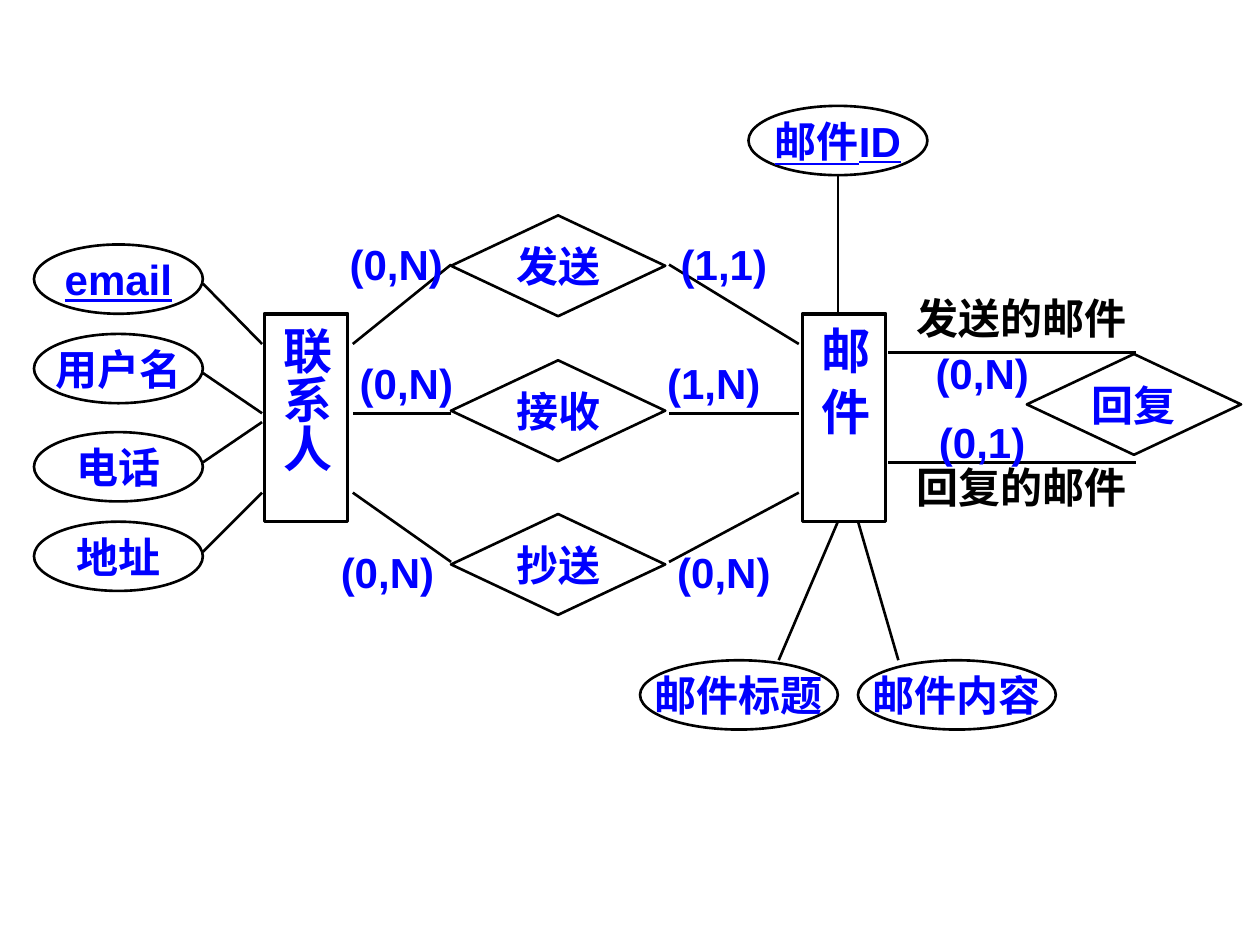
from lxml import etree
from pptx import Presentation
from pptx.dml.color import RGBColor
from pptx.enum.shapes import MSO_CONNECTOR, MSO_SHAPE
from pptx.enum.text import MSO_ANCHOR, MSO_AUTO_SIZE, PP_ALIGN
from pptx.oxml.ns import qn
from pptx.util import Inches, Pt

RECT, OVAL, DIAMOND = MSO_SHAPE.RECTANGLE, MSO_SHAPE.OVAL, MSO_SHAPE.DIAMOND
STRAIGHT = MSO_CONNECTOR.STRAIGHT
MIDDLE, CENTER = MSO_ANCHOR.MIDDLE, PP_ALIGN.CENTER
GROW = MSO_AUTO_SIZE.SHAPE_TO_FIT_TEXT
BLUE = RGBColor(0x00, 0x00, 0xFF)
BLACK = RGBColor(0x00, 0x00, 0x00)
CJK, LATIN = "Noto Sans CJK SC", "Arial"

prs = Presentation()
prs.slide_width, prs.slide_height = Inches(10), Inches(7.5)
shapes = prs.slides.add_slide(prs.slide_layouts[6]).shapes


def write(sp, text, size=24, font=CJK, color=BLUE, underline=None,
          wrap=False, margins=(0.1, 0.05), before=0):
    tf = sp.text_frame
    mx, my = Inches(margins[0]), Inches(margins[1])
    frame = {"word_wrap": wrap, "vertical_anchor": MIDDLE, "margin_left": mx,
             "margin_right": mx, "margin_top": my, "margin_bottom": my}
    for name, value in frame.items():
        setattr(tf, name, value)
    p = tf.paragraphs[0]
    p.alignment, p.space_before = CENTER, Pt(before)
    r = p.add_run()
    r.text = text
    style = {"name": font, "size": Pt(size), "bold": True, "underline": underline}
    for name, value in style.items():
        setattr(r.font, name, value)
    r.font.color.rgb = color
    ea = etree.SubElement(r._r.get_or_add_rPr(), qn("a:ea"))
    ea.set("typeface", CJK)


def add_node(kind, x, y, w, h, weight=1.5):
    sp = shapes.add_shape(kind, Inches(x), Inches(y), Inches(w), Inches(h))
    sp.shadow.inherit = False
    sp.fill.background()
    sp.line.color.rgb = BLACK
    sp.line.width = Pt(weight)
    return sp


for text, x in [("联系人", 2.1), ("邮 件", 6.37)]:
    sp = add_node(RECT, x, 2.49, 0.66, 1.65, 2)
    write(sp, text, size=28, wrap=True, margins=(0.09, 0.1), before=17.5)
    sp.text_frame.auto_size = GROW
    sp.text_frame._txBody.bodyPr.set("vert", "eaVert")

attributes = [
    ("email", 0.27, 1.94, 1.34, LATIN, True),
    ("用户名", 0.27, 2.65, 1.34, CJK, None),
    ("电话", 0.27, 3.43, 1.34, CJK, None),
    ("地址", 0.27, 4.14, 1.34, CJK, None),
    ("邮件ID", 5.94, 0.84, 1.42, LATIN, True),
    ("邮件标题", 5.08, 5.24, 1.57, CJK, None),
    ("邮件内容", 6.81, 5.24, 1.57, CJK, None),
]
for text, x, y, w, font, underline in attributes:
    write(add_node(OVAL, x, y, w, 0.55), text, font=font, underline=underline)

relations = [("发送", 3.58, 1.71), ("接收", 3.58, 2.86),
             ("抄送", 3.58, 4.08), ("回复", 8.15, 2.81)]
for text, x, y in relations:
    write(add_node(DIAMOND, x, y, 1.7, 0.8), text, wrap=True,
          margins=(0, 0), before=15)

links = [
    (1.61, 2.25, 2.08, 2.73), (1.61, 2.96, 2.08, 3.28),
    (1.61, 3.67, 2.08, 3.35), (1.61, 4.38, 2.08, 3.91),
    (6.65, 1.39, 6.65, 2.49), (6.81, 4.14, 7.13, 5.24),
    (6.18, 5.24, 6.65, 4.14),
    (7.05, 2.8, 9.02, 2.8), (7.05, 3.67, 9.02, 3.67),
]
for y_relation, y_entity in [(2.1, 2.73), (3.28, 3.28), (4.46, 3.91)]:
    links += [(3.58, y_relation, 2.8, y_entity), (5.31, y_relation, 6.34, y_entity)]
for link in links:
    line = shapes.add_connector(STRAIGHT, *[Inches(v) for v in link])
    line.line.color.rgb = BLACK
    line.line.width = Pt(1.5)
    etree.SubElement(line._element.spPr, qn("a:effectLst"))

labels = [
    ("(0,N)", 2.67, 1.94, 0.95, 0.31, BLUE), ("(1,1)", 5.27, 1.94, 0.95, 0.31, BLUE),
    ("(0,N)", 2.75, 2.88, 0.95, 0.31, BLUE), ("(1,N)", 5.19, 2.88, 0.95, 0.31, BLUE),
    ("(0,N)", 2.6, 4.38, 0.95, 0.31, BLUE), ("(0,N)", 5.27, 4.38, 0.95, 0.31, BLUE),
    ("发送的邮件", 7.08, 2.33, 2.05, 0.39, BLACK),
    ("回复的邮件", 7.08, 3.67, 2.05, 0.39, BLACK),
    ("(0,N)", 7.32, 2.8, 0.95, 0.31, BLUE), ("(0,1)", 7.32, 3.35, 0.95, 0.31, BLUE),
]
for text, x, y, w, h, color in labels:
    sp = shapes.add_textbox(Inches(x), Inches(y), Inches(w), Inches(h))
    write(sp, text, font=LATIN, color=color)

prs.save("out.pptx")
